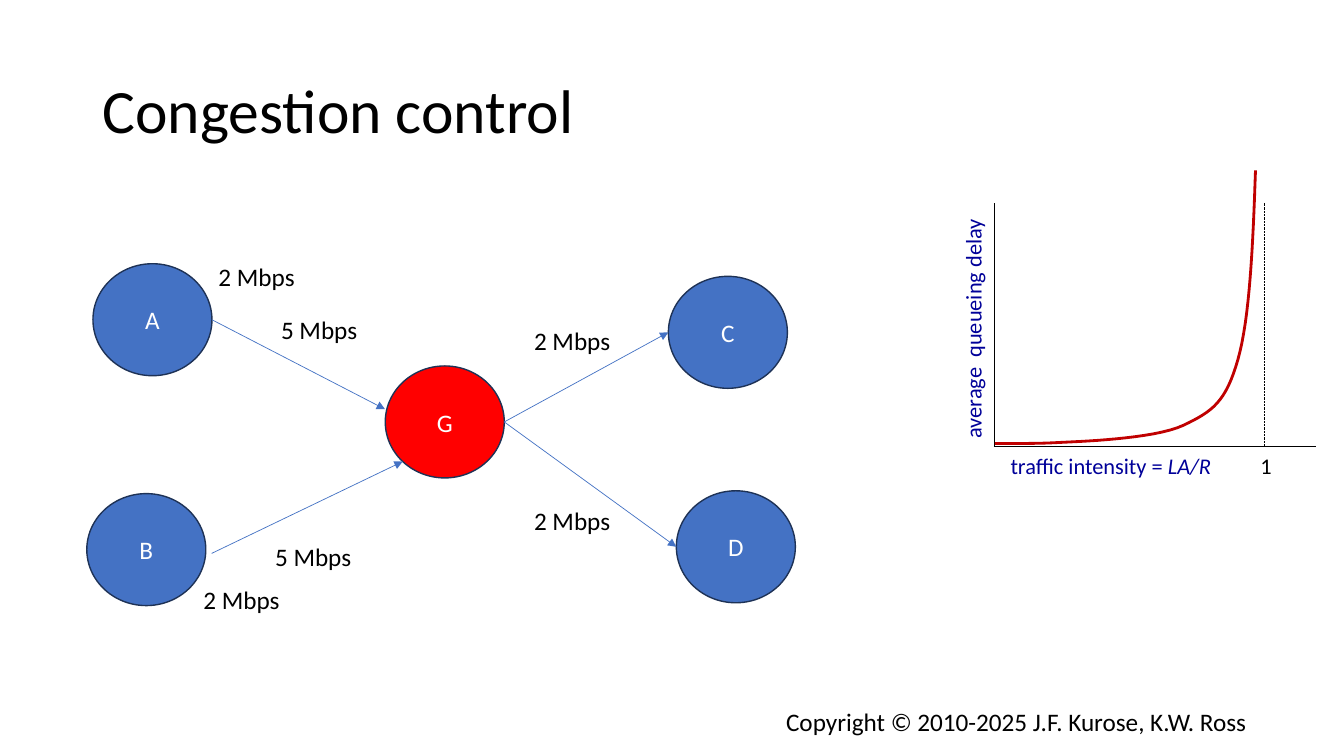
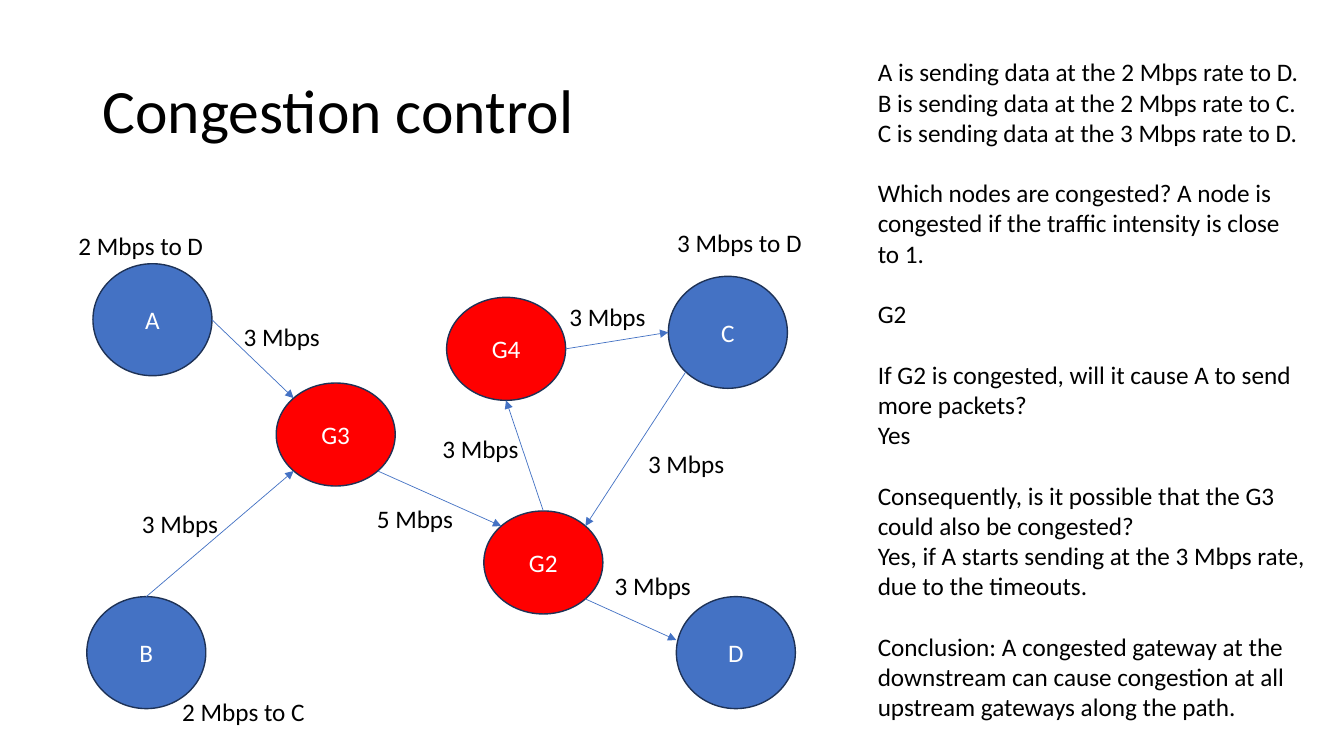
from math import cos, radians, sin

from lxml import etree
from pptx import Presentation
from pptx.dml.color import RGBColor
from pptx.enum.dml import MSO_LINE
from pptx.enum.shapes import MSO_CONNECTOR, MSO_SHAPE
from pptx.enum.text import MSO_ANCHOR, PP_ALIGN
from pptx.oxml.ns import qn
from pptx.util import Pt

DOTTED = MSO_LINE.ROUND_DOT
STRAIGHT = MSO_CONNECTOR.STRAIGHT
OVAL = MSO_SHAPE.OVAL
MIDDLE = MSO_ANCHOR.MIDDLE
LEFT, CENTER = PP_ALIGN.LEFT, PP_ALIGN.CENTER

COLORS = {
    "host": "4472C4",
    "gateway": "FF0000",
    "outline": "1E3256",
    "text": "000000",
    "light": "FFFFFF",
    "axis": "000099",
    "curve": "C00000",
}
FONT = "Calibri"
BODY_SIZE = 18
LINE_HEIGHT = 21.6
NODE_WIDTH = 85


def color(name):
    return RGBColor.from_string(COLORS[name])


def rim(node, degrees):
    angle = radians(degrees)
    x = node.left.pt + node.width.pt / 2 * (1 + cos(angle))
    y = node.top.pt + node.height.pt / 2 * (1 - sin(angle))
    return x, y


def bezier(points, steps=16):
    p0, p1, p2, p3 = points
    for step in range(1, steps + 1):
        t = step / steps
        u = 1 - t
        yield tuple(
            u**3 * a + 3 * u * u * t * b + 3 * u * t * t * c + t**3 * d
            for a, b, c, d in zip(p0, p1, p2, p3)
        )


class Sketch:
    """Draws network diagrams in one style on the current slide."""

    def __init__(self):
        self.deck = Presentation()
        self.deck.slide_width, self.deck.slide_height = Pt(960), Pt(540)
        self.page = None

    def new_page(self, title):
        self.page = self.deck.slides.add_slide(self.deck.slide_layouts[6])
        box = self.text(66.2, 28.8, 828, 104.4, title, size=44, spacing=0.9)
        box.text_frame.vertical_anchor = MIDDLE

    def style(self, para, size, tone, align=LEFT, spacing=None):
        para.alignment = align
        if spacing:
            para.line_spacing = spacing
        para.font.name = FONT
        para.font.size = Pt(size)
        para.font.color.rgb = color(tone)

    def text(self, x, y, width, height, content, size=BODY_SIZE, tone="text",
             align=LEFT, spacing=None, italic_end=""):
        box = self.page.shapes.add_textbox(Pt(x), Pt(y), Pt(width), Pt(height))
        box.text_frame.word_wrap = True
        para = box.text_frame.paragraphs[0]
        para.add_run().text = content
        if italic_end:
            span = para.add_run()
            span.text = italic_end
            span.font.italic = True
        self.style(para, size, tone, align, spacing)
        return box

    def label(self, x, y, content):
        self.text(x, y, 127, 29, content)

    def axis_label(self, x, y, width, content, tone="axis", italic_end=""):
        return self.text(x, y, width, 35, content, 16, tone, CENTER, 0.85, italic_end)

    def text_column(self, x, y, width, height, groups):
        box = self.page.shapes.add_textbox(Pt(x), Pt(y), Pt(width), Pt(height))
        frame = box.text_frame
        frame.word_wrap = True
        para = frame.paragraphs[0]
        for group_index, group in enumerate(groups):
            for line_index, line in enumerate(group):
                if group_index or line_index:
                    para = frame.add_paragraph()
                para.text = line
                if group_index and not line_index:
                    para.space_before = Pt(LINE_HEIGHT)
                self.style(para, BODY_SIZE, "text")

    def node(self, name, x, y, fill="host", height=80):
        oval = self.page.shapes.add_shape(OVAL, Pt(x), Pt(y), Pt(NODE_WIDTH), Pt(height))
        oval.shadow.inherit = False
        oval.fill.solid()
        oval.fill.fore_color.rgb = color(fill)
        oval.line.color.rgb = color("outline")
        oval.line.width = Pt(1)
        oval.text_frame.vertical_anchor = MIDDLE
        para = oval.text_frame.paragraphs[0]
        para.text = name
        self.style(para, BODY_SIZE, "light", CENTER)
        return oval

    def line(self, start, end, tone="text", dash=None):
        line = self.page.shapes.add_connector(STRAIGHT, *map(Pt, start + end))
        line.line.color.rgb = color(tone)
        line.line.width = Pt(0.5)
        if dash:
            line.line.dash_style = dash
        etree.SubElement(line._element.spPr, qn("a:effectLst"))
        return line

    def arrow(self, start, end):
        outline = self.line(start, end, "host")._element.spPr.find(qn("a:ln"))
        etree.SubElement(outline, qn("a:tailEnd"), type="triangle")

    def curve(self, points):
        outline = [points[0]]
        for first in range(0, len(points) - 1, 3):
            outline.extend(bezier(points[first:first + 4]))
        start, *rest = [(Pt(x), Pt(y)) for x, y in outline]
        builder = self.page.shapes.build_freeform(*start)
        builder.add_line_segments(rest, close=False)
        shape = builder.convert_to_shape()
        shape.shadow.inherit = False
        shape.fill.background()
        shape.line.color.rgb = color("curve")
        shape.line.width = Pt(2)


def draw_delay_chart(sketch):
    left, base, top, limit = 710, 318.5, 144.7, 902.9
    sketch.axis_label(694.8, 322.6, 197.3, "traffic intensity = ", italic_end="LA/R")
    sketch.axis_label(607, 217.4, 190, "average  queueing delay").rotation = 270
    sketch.line((left, base), (940.3, base))
    sketch.line((left, base), (left, top))
    sketch.curve([
        (710.6, 316.8), (735.8, 316.8), (743, 316.8), (756, 316.1),
        (768.2, 315.4), (823.7, 313.9), (845.3, 303.8),
        (866.2, 293.8), (875.5, 287.3), (884.2, 257),
        (892.8, 226.8), (895, 174.2), (896.8, 121.7),
    ])
    sketch.line((limit, base), (limit, top), dash=DOTTED)
    sketch.axis_label(887, 322.6, 34.6, "1", "text")


def draw_single_gateway(sketch):
    sketch.new_page("Congestion control")
    a = sketch.node("A", 66.4, 188.4)
    sketch.node("B", 62, 352.6)
    g = sketch.node("G", 275.2, 261.4, "gateway")
    c = sketch.node("C", 477.4, 197.4)
    d = sketch.node("D", 483.1, 350.6)
    sketch.arrow(rim(a, 0), (275, 292.3))
    sketch.arrow((151.2, 395.3), rim(g, 225))
    for host in (c, d):
        sketch.arrow(rim(g, 0), rim(host, 180))
    for x, y, rate in (
        (374.4, 229, 2), (374.4, 357.1, 2), (149, 182.9, 2),
        (138.2, 414, 2), (193.7, 221, 5), (189.4, 383, 5),
    ):
        sketch.label(x, y, f"{rate} Mbps")
    draw_delay_chart(sketch)
    sketch.text(554.4, 501.1, 353, 29, "Copyright © 2010-2025 J.F. Kurose, K.W. Ross")


def draw_gateway_chain(sketch):
    sketch.new_page("Congestion control")
    a = sketch.node("A", 66.4, 188.4)
    b = sketch.node("B", 62, 426.2)
    c = sketch.node("C", 477.4, 197.4)
    sketch.node("D", 483.1, 426.2)
    g2, g3, g4 = (
        sketch.node(name, x, y, "gateway", 73.6)
        for name, x, y in (("G2", 345.6, 365), ("G3", 197.3, 273.6), ("G4", 319, 212.4))
    )
    sketch.arrow(rim(g2, 315), (483.1, 457.2))
    for source, leave, target, enter in (
        (b, 90, g3, 225), (a, 0, g3, 135), (g3, 315, g2, 135),
        (g2, 90, g4, 270), (g4, 0, c, 180), (c, 225, g2, 45),
    ):
        sketch.arrow(rim(source, leave), rim(target, enter))
    for x, y, content in (
        (262.1, 355.7, "5 Mbps"), (94.3, 359.3, "3 Mbps"),
        (167, 226.1, "3 Mbps"), (432, 403.9, "3 Mbps"),
        (308.9, 306, "3 Mbps"), (399.6, 211.7, "3 Mbps"),
        (455.8, 316.8, "3 Mbps"), (476.6, 159.1, "3 Mbps to D"),
        (123.1, 493.9, "2 Mbps to C"), (49, 161.3, "2 Mbps to D"),
    ):
        sketch.label(x, y, content)
    sketch.text_column(619.9, 36.9, 320.4, 487, [
        [
            "A is sending data at the 2 Mbps rate to D.",
            "B is sending data at the 2 Mbps rate to C.",
            "C is sending data at the 3 Mbps rate to D.",
        ],
        ["Which nodes are congested? A node is congested if the traffic "
         "intensity is close to 1."],
        ["G2"],
        ["If G2 is congested, will it cause A to send more packets?", "Yes"],
        [
            "Consequently, is it possible that the G3 could also be congested?",
            "Yes, if A starts sending at the 3 Mbps rate, due to the timeouts.",
        ],
        ["Conclusion: A congested gateway at the downstream can cause congestion "
         "at all upstream gateways along the path."],
    ])


def main():
    sketch = Sketch()
    draw_single_gateway(sketch)
    draw_gateway_chain(sketch)
    sketch.deck.save("out.pptx")


if __name__ == "__main__":
    main()
